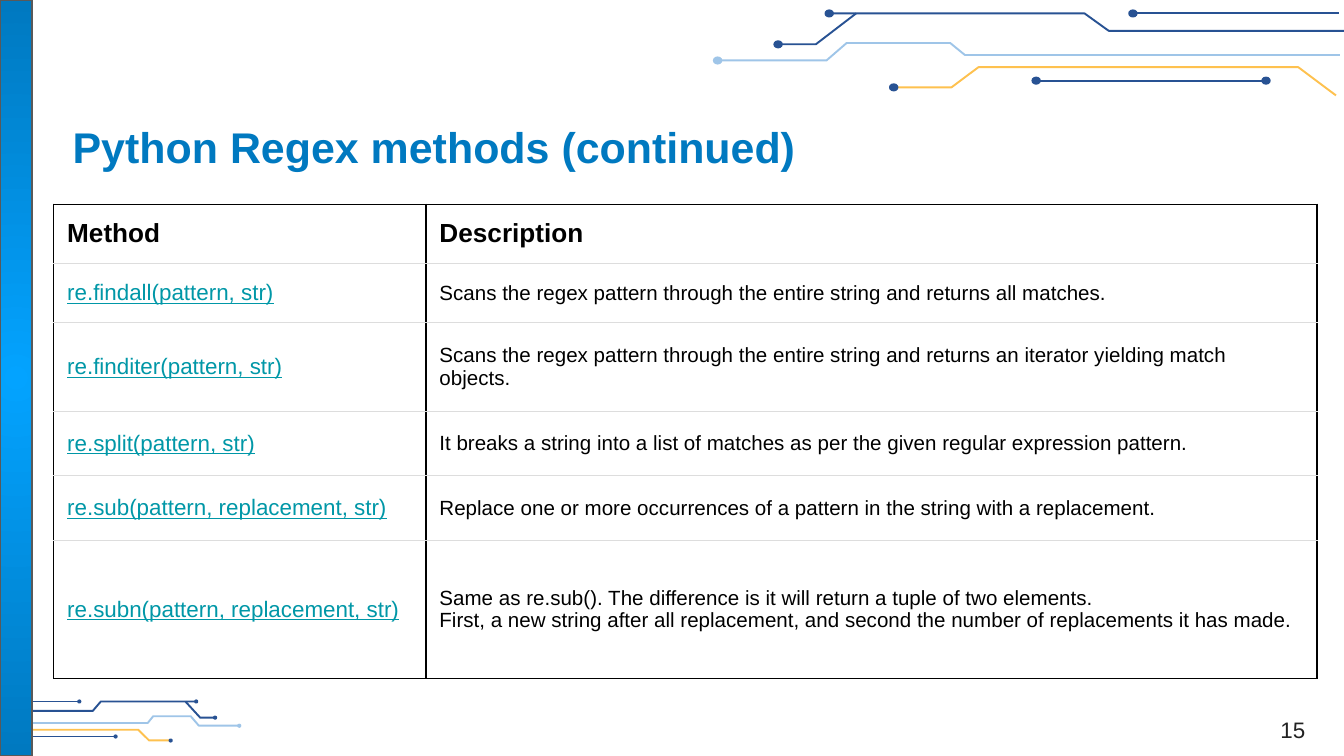
"""Build the slide on Python regex methods."""
from dataclasses import dataclass
from typing import NamedTuple

from lxml.etree import SubElement as Sub
from pptx import Presentation
from pptx.dml.color import RGBColor as Rgb
from pptx.enum.shapes import MSO_CONNECTOR as Link, MSO_SHAPE as Kind
from pptx.enum.text import MSO_ANCHOR as Anchor, MSO_AUTO_SIZE as Fit, PP_ALIGN as Align
from pptx.oxml.ns import qn
from pptx.util import Inches, Pt


@dataclass(frozen=True)
class Theme:
    """Colours, font and type sizes."""
    font: str = "Arial"
    blue: str = "0079C0"
    glow: str = "03A3FF"
    navy: str = "285293"
    sky: str = "9FC5E8"
    gold: str = "FEC14F"
    teal: str = "0097A7"
    black: str = "000000"
    ink: str = "222222"
    gray: str = "DDDDDD"
    edge: str = "595959"
    title: float = 23
    head: float = 14
    code: float = 12
    note: float = 11
    page: float = 12
    thin: float = 0.75
    wire: float = 1.03


class Trace(NamedTuple):
    """One circuit line with the points that carry a dot."""
    points: list
    color: str
    dots: list
    ink: str


class Method(NamedTuple):
    """One table row."""
    name: str
    about: str
    height: float


T = Theme()
WIDE = Inches(10)
HIGH = WIDE * 9 // 16

TOP = [
    Trace([(10, 0.23), (8.25, 0.23), (8.07, 0.1), (6.17, 0.1)], T.navy, [(6.17, 0.1)], T.navy),
    Trace([(6.37, 0.1), (6.07, 0.33), (5.79, 0.33)], T.navy, [(5.79, 0.33)], T.navy),
    Trace([(9.96, 0.1), (8.43, 0.1)], T.navy, [(8.43, 0.1)], T.navy),
    Trace([(9.94, 0.71), (9.66, 0.5), (7.28, 0.5), (7.08, 0.65), (6.65, 0.65)],
          T.gold, [(6.65, 0.65)], T.navy),
    Trace([(9.42, 0.6), (7.71, 0.6)], T.navy, [(9.42, 0.6), (7.71, 0.6)], T.navy),
    Trace([(9.97, 0.41), (7.18, 0.41), (7.07, 0.32), (6.3, 0.32), (6.15, 0.45), (5.34, 0.45)],
          T.sky, [(5.34, 0.45)], T.sky),
]

LOW = [
    Trace([(0.04, 5.29), (0.69, 5.29), (0.75, 5.22), (1.46, 5.22)], T.navy, [(1.46, 5.22)], T.navy),
    Trace([(1.38, 5.22), (1.49, 5.34), (1.6, 5.34)], T.navy, [(1.6, 5.34)], T.navy),
    Trace([(0, 5.22), (0.59, 5.22)], T.navy, [(0.59, 5.22)], T.navy),
    Trace([(0.01, 5.54), (0.12, 5.43), (1.03, 5.43), (1.11, 5.51), (1.27, 5.51)],
          T.gold, [(1.27, 5.51)], T.navy),
    Trace([(0.21, 5.48), (0.86, 5.48)], T.navy, [(0.21, 5.48), (0.86, 5.48)], T.navy),
    Trace([(0.08, 5.38), (1.1, 5.38), (1.14, 5.33), (1.42, 5.33), (1.48, 5.4), (1.78, 5.4)],
          T.sky, [(1.78, 5.4)], T.sky),
]

ROWS = [
    Method("Method", "Description", 0.44),
    Method("re.findall(pattern, str)",
           "Scans the regex pattern through the entire string and returns all matches.", 0.44),
    Method("re.finditer(pattern, str)",
           "Scans the regex pattern through the entire string and returns an iterator "
           "yielding match objects.", 0.66),
    Method("re.split(pattern, str)",
           "It breaks a string into a list of matches as per the given regular "
           "expression pattern.", 0.48),
    Method("re.sub(pattern, replacement, str)",
           "Replace one or more occurrences of a pattern in the string with a replacement.", 0.48),
    Method("re.subn(pattern, replacement, str)",
           "Same as re.sub(). The difference is it will return a tuple of two elements.\n"
           "First, a new string after all replacement, and second the number of "
           "replacements it has made.", 1.03),
]


def write(frame, text: str, *, size: float, color: str, bold: bool = False,
          line: bool = False, align=Align.LEFT) -> None:
    """Fill a text frame, one paragraph per line of text."""
    for i, part in enumerate(text.split("\n")):
        para = frame.paragraphs[0] if i == 0 else frame.add_paragraph()
        para.alignment = align
        run = para.add_run()
        run.text = part
        font = run.font
        font.name, font.size, font.bold, font.underline = T.font, Pt(size), bold, line
        font.color.rgb = Rgb.from_string(color)


def inset(item, side: float, end: float) -> None:
    """Set the margins of a cell or text frame."""
    item.margin_left = item.margin_right = Inches(side)
    item.margin_top = item.margin_bottom = Inches(end)


def stroke(shape, color: str, width: float) -> None:
    """Set the outline of a shape."""
    shape.line.color.rgb = Rgb.from_string(color)
    shape.line.width = Pt(width)


def draw(shapes, trace: Trace, wide: float, high: float) -> None:
    """Draw a circuit line and its dots."""
    spots = [(Inches(x), Inches(y)) for x, y in trace.points]
    if len(spots) == 2:
        wire = shapes.add_connector(Link.STRAIGHT, *spots[0], *spots[1])
        Sub(wire._element.spPr, qn("a:effectLst"))
    else:
        pen = shapes.build_freeform(*spots[0])
        pen.add_line_segments(spots[1:], close=False)
        wire = pen.convert_to_shape()
        wire.shadow.inherit = False
        wire.fill.background()
    stroke(wire, trace.color, T.wire)
    for x, y in trace.dots:
        dot = shapes.add_shape(Kind.OVAL, Inches(x - wide / 2), Inches(y - high / 2),
                               Inches(wide), Inches(high))
        dot.shadow.inherit = False
        dot.fill.solid()
        dot.fill.fore_color.rgb = Rgb.from_string(trace.ink)
        stroke(dot, trace.ink, T.thin)


def add_bar(shapes) -> None:
    """Draw the glowing bar at the left edge."""
    bar = shapes.add_shape(Kind.RECTANGLE, 0, 0, Inches(0.24), HIGH)
    bar.shadow.inherit = False
    stroke(bar, T.edge, T.thin)
    bar.fill.gradient()
    for stop, color in zip(bar.fill.gradient_stops, (T.glow, T.blue)):
        stop.color.rgb = Rgb.from_string(color)
    grad = bar._element.spPr.find(qn("a:gradFill"))
    grad.remove(grad.find(qn("a:lin")))
    focus = Sub(grad, qn("a:path"), path="circle")
    Sub(focus, qn("a:fillToRect"), {side: "50000" for side in "ltrb"})


def border(cell, first: bool, last: bool) -> None:
    """Rule a cell, black outside and between columns, gray between rows."""
    sides = {"L": T.black, "R": T.black, "T": T.black if first else T.gray,
             "B": T.black if last else T.gray}
    props = cell._tc.get_or_add_tcPr()
    for side, color in sides.items():
        rule = Sub(props, qn(f"a:ln{side}"), w=str(Pt(T.thin)))
        Sub(Sub(rule, qn("a:solidFill")), qn("a:srgbClr"), val=color)


def add_grid(shapes) -> None:
    """Draw the table of methods."""
    high = sum(row.height for row in ROWS)
    grid = shapes.add_table(len(ROWS), 2, Inches(0.4), Inches(1.52),
                            Inches(9.4), Inches(high)).table
    grid.first_row = grid.horz_banding = False
    for col, width in zip(grid.columns, (2.77, 6.63)):
        col.width = Inches(width)
    for i, row in enumerate(ROWS):
        grid.rows[i].height = Inches(row.height)
        for j, text in enumerate((row.name, row.about)):
            cell = grid.cell(i, j)
            inset(cell, 0.1, 0.1)
            cell.vertical_anchor = Anchor.MIDDLE
            border(cell, i == 0, i == len(ROWS) - 1)
            cell.fill.background()
            code = i > 0 and j == 0
            size = T.head if i == 0 else T.code if code else T.note
            write(cell.text_frame, text, size=size, color=T.teal if code else T.black,
                  bold=i == 0, line=code)


def main() -> None:
    """Build and save the slide."""
    deck = Presentation()
    deck.slide_width, deck.slide_height = WIDE, HIGH
    slide = deck.slides.add_slide(deck.slide_layouts[5])
    shapes = slide.shapes
    for group, wide, high in ((LOW, 0.02, 0.02), (TOP, 0.06, 0.05)):
        for trace in group:
            draw(shapes, trace, wide, high)
    add_bar(shapes)
    title = shapes.title
    title.left, title.top, title.width, title.height = map(Inches, (0.47, 0.8, 8.88, 0.58))
    page = shapes.add_textbox(*map(Inches, (9.3, 5.13, 0.64, 0.44)))
    for box, end, hold in ((title, 0.07, Anchor.MIDDLE), (page, 0.04, Anchor.BOTTOM)):
        frame = box.text_frame
        frame.word_wrap, frame.auto_size, frame.vertical_anchor = True, Fit.NONE, hold
        inset(frame, 0.07, end)
    write(title.text_frame, "Python Regex methods (continued)", size=T.title,
          color=T.blue, bold=True)
    write(page.text_frame, "15", size=T.page, color=T.ink, align=Align.CENTER)
    add_grid(shapes)
    deck.save("out.pptx")


if __name__ == "__main__":
    main()
